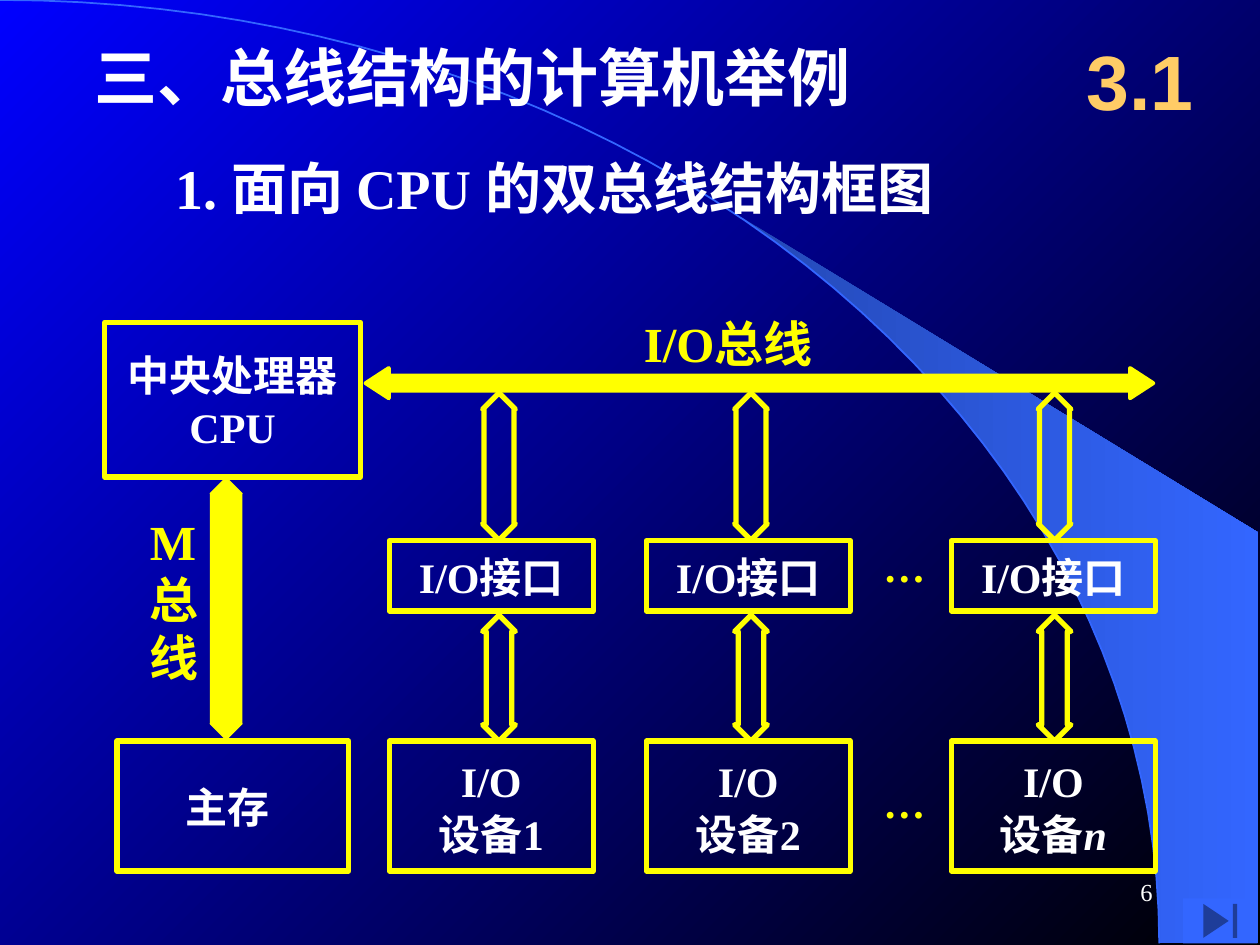
from math import cos, radians, sin

from lxml import etree
from pptx import Presentation
from pptx.dml.color import RGBColor
from pptx.enum.shapes import MSO_SHAPE
from pptx.enum.text import MSO_ANCHOR, MSO_AUTO_SIZE, PP_ALIGN
from pptx.oxml.ns import qn
from pptx.util import Cm, Pt

RECTANGLE = MSO_SHAPE.RECTANGLE
ACROSS = MSO_SHAPE.LEFT_RIGHT_ARROW
UP_DOWN = MSO_SHAPE.UP_DOWN_ARROW
END_BUTTON = MSO_SHAPE.ACTION_BUTTON_END
TOP, MIDDLE = MSO_ANCHOR.TOP, MSO_ANCHOR.MIDDLE
LEFT, CENTER, RIGHT = PP_ALIGN.LEFT, PP_ALIGN.CENTER, PP_ALIGN.RIGHT
SERIF, SANS, CHINESE = "Times New Roman", "Arial", "Noto Sans CJK SC"
WHITE, YELLOW, BLUE, GOLD = "FFFFFF", "FFFF00", "3366FF", "FFCC66"


def paint(fill, color):
    fill.solid()
    fill.fore_color.rgb = RGBColor.from_string(color)


def write(holder, text, size=24, color=WHITE, bold=True, italic=False, font=SERIF,
          asian=CHINESE, align=CENTER, anchor=MIDDLE, inset=0.0, right=None, leading=None):
    frame = holder.text_frame
    frame.word_wrap = True
    frame.auto_size = MSO_AUTO_SIZE.NONE
    frame.vertical_anchor = anchor
    frame.margin_left = Cm(inset)
    frame.margin_right = Cm(inset if right is None else right)
    frame.margin_top = frame.margin_bottom = 0
    for number, line in enumerate(text.split("\n")):
        paragraph = frame.add_paragraph() if number else frame.paragraphs[-1]
        paragraph.alignment = align
        paragraph.space_before = Pt(0)
        if leading:
            paragraph.line_spacing = Pt(leading)
        run = paragraph.add_run()
        run.text = line
        run.font.size = Pt(size)
        run.font.bold = bold
        run.font.italic = italic
        run.font.name = font
        paint(run.font.fill, color)
        etree.SubElement(run.font._element, qn("a:ea")).set("typeface", asian)


deck = Presentation()
deck.slide_width, deck.slide_height = Cm(25.4), Cm(19.05)
slide = deck.slides.add_slide(deck.slide_layouts[1])
shapes = slide.shapes

backdrop = slide.background.fill
backdrop.gradient()
backdrop.gradient_angle = 315
for stop, color in zip(backdrop.gradient_stops, ("0000FF", "000000")):
    stop.color.rgb = RGBColor.from_string(color)

curve = [(Cm(23.37 * sin(radians(a))), Cm(19.02 * (1 - cos(radians(a)))))
         for a in range(0, 91, 2)]

beam_outline = shapes.build_freeform(Cm(14.96), Cm(4.39), scale=1.0)
beam_outline.add_line_segments(
    curve[20:] + [(Cm(25.37), Cm(19.02)), (Cm(25.37), Cm(10.74))], close=True)
beam = beam_outline.convert_to_shape()
beam.shadow.inherit = False
beam.line.fill.background()
beam.fill.gradient()
beam.fill.gradient_angle = 0
for stop, color in zip(beam.fill.gradient_stops, ("2449B6", BLUE)):
    stop.color.rgb = RGBColor.from_string(color)

horizon_outline = shapes.build_freeform(*curve[0], scale=1.0)
horizon_outline.add_line_segments(curve[1:], close=False)
horizon = horizon_outline.convert_to_shape()
horizon.shadow.inherit = False
horizon.fill.background()
paint(horizon.line.fill, BLUE)
horizon.line.width = Pt(1)

title, subtitle = shapes.title, slide.placeholders[1]
headings = [
    (title, "三、总线结构的计算机举例", 36, (1.65, 0.64, 17.65, 1.78)),
    (subtitle, "1. 面向 CPU 的双总线结构框图", 32, (3.28, 2.97, 17.68, 1.6)),
]
for heading, text, size, place in headings:
    shapes._spTree.append(heading._element)
    heading.left, heading.top, heading.width, heading.height = map(Cm, place)
    write(heading, text, size=size, align=LEFT, inset=0.25)
subtitle_format = subtitle.text_frame.paragraphs[0]._p.get_or_add_pPr()
subtitle_format.set("marL", "0")
subtitle_format.set("indent", "0")
etree.SubElement(subtitle_format, qn("a:buNone"))

device_top, device_height = 14.94, 2.62
boxes = [(2.11, 6.5, 5.16, 3.12, "中央处理器\nCPU", 0),
         (2.36, device_top, 4.67, device_height, "主存", 0.22)]
arrows = [(ACROSS, 7.37, 7.42, 15.88, 0.61, 0.77, YELLOW, 2.25),
          (UP_DOWN, 4.24, 9.63, 0.64, 5.28, 0.98, YELLOW, 0.75)]
for column, arrow_left, device in ((7.85, 9.73, "1"), (13.03, 14.81, "2"), (19.18, 20.93, "")):
    boxes += [(column, 10.9, 4.11, 1.42, "I/O接口", 0),
              (column, device_top, 4.11, device_height, "I/O\n设备" + device, 0)]
    arrows += [(UP_DOWN, arrow_left, 7.92, 0.66, 2.97, 0.92, None, 3),
               (UP_DOWN, arrow_left, 12.4, 0.66, 2.54, 0.78, None, 3)]

for left, top, width, height, text, right in boxes:
    box = shapes.add_shape(RECTANGLE, Cm(left), Cm(top), Cm(width), Cm(height))
    box.shadow.inherit = False
    box.fill.background()
    paint(box.line.fill, YELLOW)
    box.line.width = Pt(3)
    write(box, text, right=right, leading=30)
write(box, "n", italic=True, leading=30)

for kind, left, top, width, height, head, color, weight in arrows:
    arrow = shapes.add_shape(kind, Cm(left), Cm(top), Cm(width), Cm(height))
    arrow.shadow.inherit = False
    arrow.adjustments[0], arrow.adjustments[1] = 0.5, head
    if color:
        paint(arrow.fill, color)
    else:
        arrow.fill.background()
    paint(arrow.line.fill, YELLOW)
    arrow.line.width = Pt(weight)

bus_label = dict(size=28, color=YELLOW, align=LEFT)
ellipsis = dict(color=YELLOW, asian=SERIF, align=LEFT, anchor=TOP)
labels = [
    ("I/O总线", (12.98, 6.32, 5.03, 1.19), bus_label),
    ("M\n总\n线", (3.02, 10.31, 1.19, 3.56), dict(bus_label, leading=33)),
    ("…", (17.81, 10.9, 1.04, 1.02), ellipsis),
    ("…", (17.81, 15.65, 1.04, 1.02), ellipsis),
    ("3.1", (21.39, 0.43, 3.18, 2.34), dict(size=44, color=GOLD, font=SANS, inset=0.25)),
    ("6", (18.21, 17.35, 5.28, 1.27), dict(size=14, bold=False, align=RIGHT, inset=0.25)),
]
for text, place, style in labels:
    write(shapes.add_textbox(*map(Cm, place)), text, **style)

next_button = shapes.add_shape(END_BUTTON, Cm(23.85), Cm(18.11), Cm(1.5), Cm(0.91))
next_button.shadow.inherit = False
paint(next_button.fill, BLUE)
next_button.line.fill.background()

deck.save("out.pptx")
